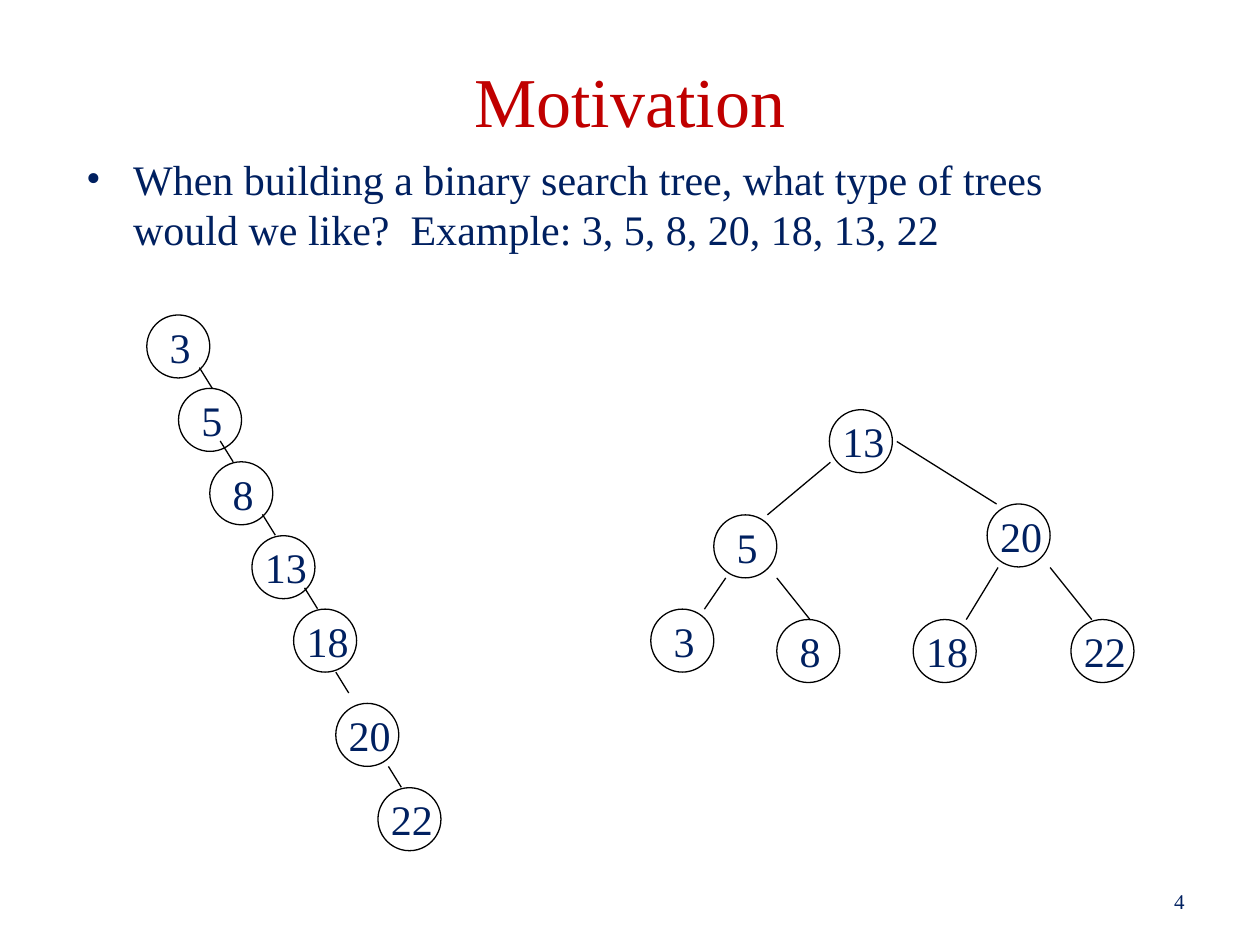
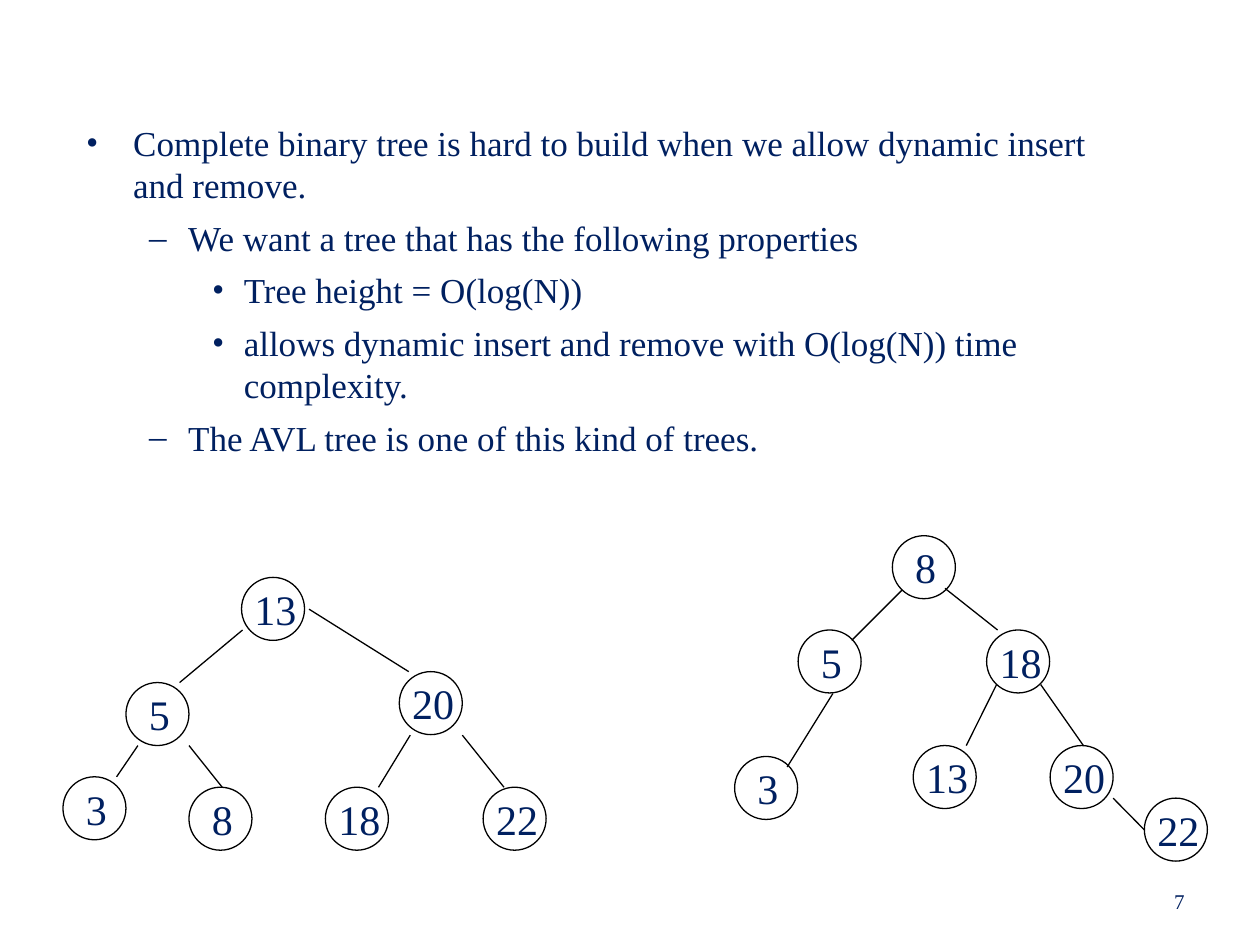
from lxml.etree import SubElement
from pptx import Presentation
from pptx.dml.color import RGBColor
from pptx.enum.shapes import MSO_CONNECTOR as LINK, MSO_SHAPE as SHAPE
from pptx.enum.text import MSO_ANCHOR as ANCHOR, MSO_AUTO_SIZE as FIT, PP_ALIGN as ALIGN
from pptx.oxml.ns import qn
from pptx.util import Cm, Pt

# Shared look
FACE = "Times New Roman"
NAVY, RED, BLACK = "002060", "C00000", "000000"
SIZE = 1.27                             # node diameter, cm
HEAD = (1.9, 0.42, 21.59, 3.18)         # title box, cm
FOOT = (18.2, 17.65, 5.93, 1.02)        # page number box, cm
LEVELS = [("•", 0.95, 0.95), ("–", 2.06, 0.79), ("•", 3.18, 0.64)]  # mark, margin, hang

# Trees: nodes (key, x, y) and edges (x1, y1, x2, y2), in cm from the root's corner
CHAIN = dict(
    nodes=[(3, 0, 0), (5, 0.64, 1.48), (8, 1.27, 2.96), (13, 2.12, 4.45),
           (18, 2.96, 5.93), (20, 3.81, 7.83), (22, 4.66, 9.53)],
    edges=[(x, y, x + 0.26, y + 0.42) for x, y in [
        (1.06, 1.06), (1.48, 2.54), (2.33, 4.02),
        (3.18, 5.5), (3.81, 7.2), (4.87, 9.1)]],
)
FULL = dict(
    nodes=[(13, 0, 0), (5, -2.33, 2.12), (3, -3.6, 4.02), (8, -1.06, 4.23),
           (20, 3.18, 1.9), (18, 1.69, 4.23), (22, 4.87, 4.23)],
    edges=[(0.02, 1.06, -1.25, 2.12), (1.36, 0.64, 3.37, 1.9),
           (-2.09, 3.39, -2.52, 4.02), (-1.06, 3.39, -0.39, 4.23),
           (3.4, 3.18, 2.76, 4.23), (4.45, 3.18, 5.29, 4.23)],
)
AVL = dict(
    nodes=[(8, 0, 0), (5, -1.9, 1.9), (3, -3.18, 4.45), (18, 1.9, 1.9),
           (13, 0.42, 4.23), (20, 3.18, 4.23), (22, 5.08, 5.29)],
    edges=[(0.2, 1.09, -0.82, 2.11), (-1.2, 3.18, -2.12, 4.66),
           (1.06, 1.06, 2.12, 1.9), (2.1, 3, 1.49, 4.23),
           (2.99, 3, 3.85, 4.23), (4.45, 5.29, 5.08, 5.93)],
)

# Slides: list items are (level, text), trees are (tree, root x, root y)
SLIDES = [
    dict(title="Motivation", page="4", box=(1.48, 2.96, 21.59, 2.75), size=24, gap=6.5,
         items=[(0, "When building a binary search tree, what type of trees "
                    "would we like?  Example: 3, 5, 8, 20, 18, 13, 22")],
         trees=[(CHAIN, 2.96, 6.35), (FULL, 16.72, 8.26)]),
    dict(title=None, page="7", box=(1.48, 2.33, 21.59, 8.26), size=20, gap=5.5,
         items=[(0, "Complete binary tree is hard to build when we allow "
                    "dynamic insert and remove."),
                (1, "We want a tree that has the following properties"),
                (2, "Tree height = O(log(N))"),
                (2, "allows dynamic insert and remove with O(log(N)) time complexity."),
                (1, "The AVL tree is one of this kind of trees.")],
         trees=[(FULL, 4.87, 11.64), (AVL, 17.99, 10.8)]),
]


def color(code):
    return RGBColor.from_string(code)


def style(part, **values):
    for name, value in values.items():
        setattr(part, name, value)


def place(shape, box):
    style(shape, **dict(zip(("left", "top", "width", "height"), map(Cm, box))))


def write(para, text, size, tint=NAVY, **form):
    """Put one run of text in a paragraph."""
    run = para.add_run()
    run.text = text
    style(run.font, name=FACE, size=Pt(size))
    run.font.color.rgb = color(tint)
    style(para, **form)


def mark(para, level):
    """Set the bullet and hanging indent of a level."""
    sign, left, hang = LEVELS[level]
    props = para._p.get_or_add_pPr()
    props.set("marL", str(Cm(left)))
    props.set("indent", str(-Cm(hang)))
    tint = SubElement(props, qn("a:buClr"))
    SubElement(tint, qn("a:srgbClr"), val=NAVY)
    SubElement(props, qn("a:buFont"), typeface=FACE)
    SubElement(props, qn("a:buChar"), char=sign)
    para.level = level


def label(slide, text, box, size, frame, **form):
    area = slide.shapes.add_textbox(*map(Cm, box)).text_frame
    style(area, **frame)
    write(area.paragraphs[0], text, size, **form)


def pen(shape):
    shape.line.color.rgb = color(BLACK)
    shape.line.width = Pt(0.75)


def draw(slide, tree, left, top):
    """Draw a tree with its root's corner at left, top."""
    for key, x, y in tree["nodes"]:
        x, y, text = left + x, top + y, str(key)
        ring = slide.shapes.add_shape(SHAPE.OVAL, *map(Cm, (x, y, SIZE, SIZE)))
        ring.shadow.inherit = False
        ring.fill.background()
        pen(ring)
        shift, width = (0.21, 0.91) if len(text) == 1 else (0.01, 1.35)
        label(slide, text, (x + shift, y, width, SIZE), 24,
              dict(word_wrap=False, auto_size=FIT.SHAPE_TO_FIT_TEXT))
    for x1, y1, x2, y2 in tree["edges"]:
        ends = left + x1, top + y1, left + x2, top + y2
        edge = slide.shapes.add_connector(LINK.STRAIGHT, *map(Cm, ends))
        pen(edge)
        SubElement(edge._element.spPr, qn("a:effectLst"))


def build(deck, data):
    slide = deck.slides.add_slide(deck.slide_layouts[1])
    title, body = slide.placeholders

    # Title
    if data["title"]:
        place(title, HEAD)
        style(title.text_frame, vertical_anchor=ANCHOR.MIDDLE, auto_size=FIT.NONE)
        write(title.text_frame.paragraphs[0], data["title"], 40, RED, alignment=ALIGN.CENTER)
    else:
        title._element.getparent().remove(title._element)

    # List
    place(body, data["box"])
    area = body.text_frame
    style(area, auto_size=FIT.NONE, vertical_anchor=ANCHOR.TOP)
    for i, (level, text) in enumerate(data["items"]):
        para = area.add_paragraph() if i else area.paragraphs[0]
        mark(para, level)
        write(para, text, data["size"], space_before=Pt(data["gap"] if i else 0),
              space_after=Pt(0.5))

    # Page number and trees
    label(slide, data["page"], FOOT, 12,
          dict(word_wrap=True, vertical_anchor=ANCHOR.MIDDLE), alignment=ALIGN.RIGHT)
    for tree in data["trees"]:
        draw(slide, *tree)


def main():
    deck = Presentation()
    style(deck, slide_width=Cm(25.4), slide_height=Cm(19.05))
    for data in SLIDES:
        build(deck, data)
    deck.save("out.pptx")


if __name__ == "__main__":
    main()
